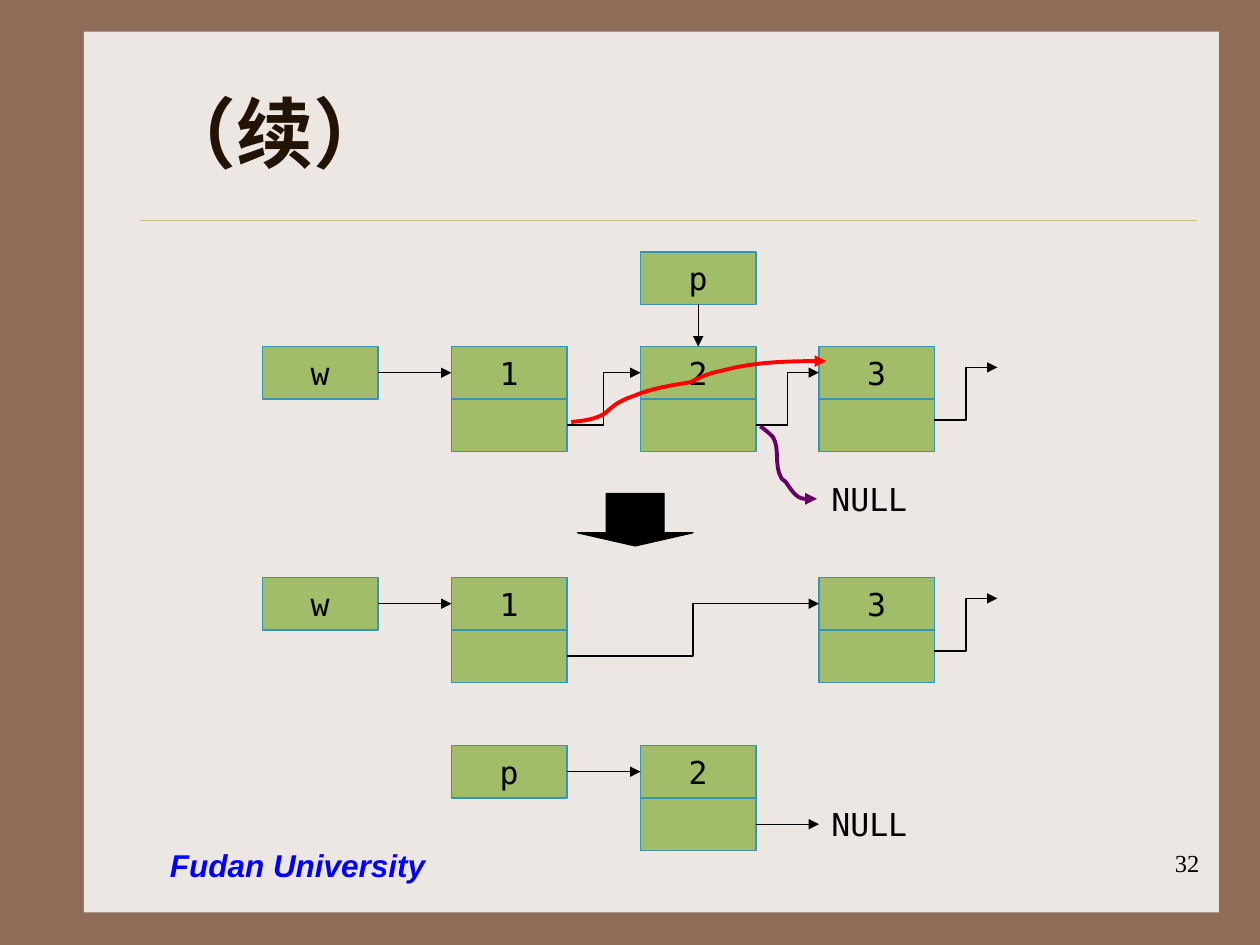
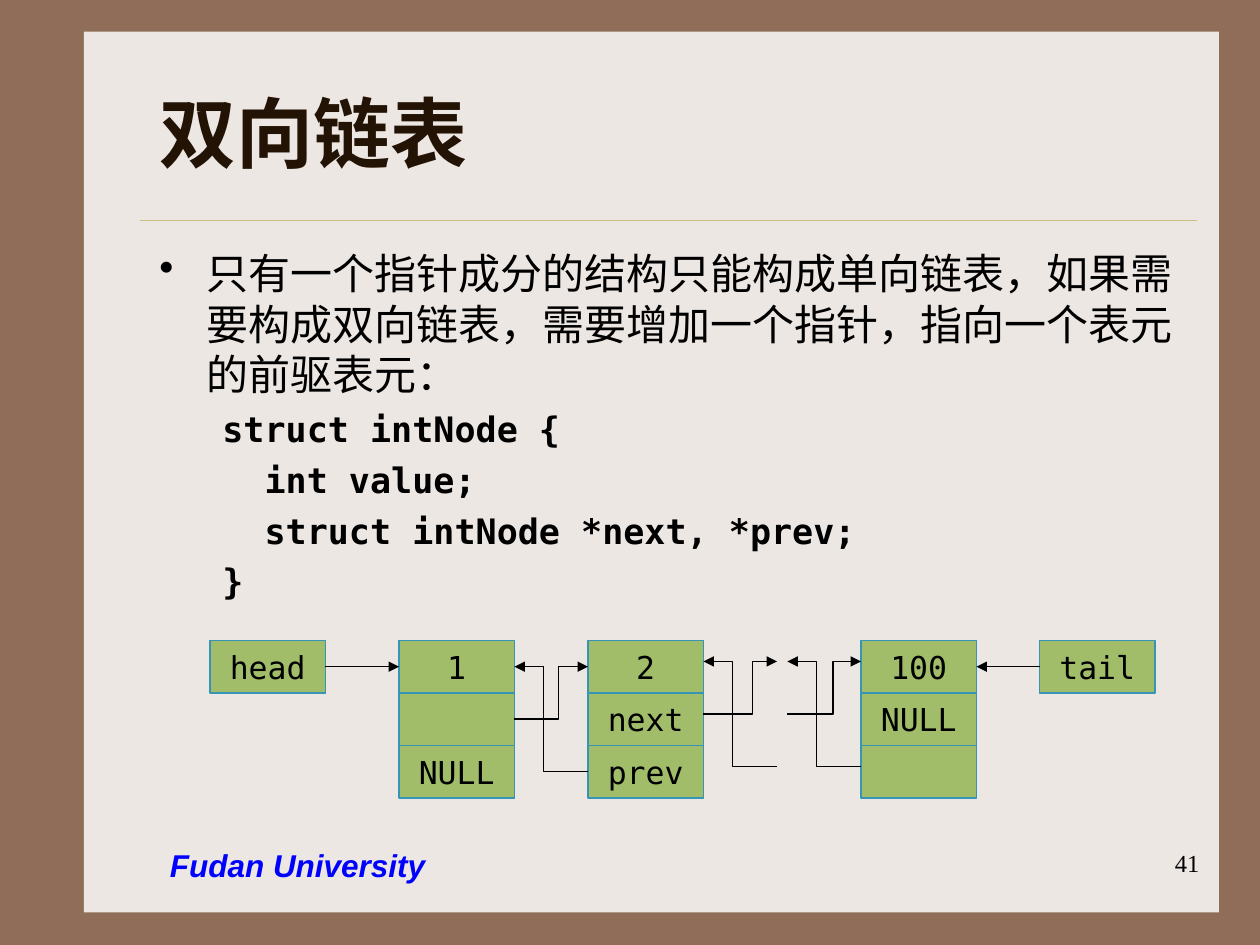
from pptx import Presentation
from pptx.dml.color import RGBColor
from pptx.enum.shapes import MSO_CONNECTOR, MSO_SHAPE
from pptx.enum.text import MSO_ANCHOR, PP_ALIGN
from pptx.oxml.ns import qn
from pptx.util import Emu, Pt
from lxml.etree import SubElement

EMU_PER_PX = 7620
CELL_WIDTH, CELL_HEIGHT = 110, 50
MONO, SANS, SERIF = "DejaVu Sans Mono", "Arial", "Times New Roman"
FRAME, PAPER, RULE = "906D58", "EDE7E3", "CBBD83"
CELL, CELL_EDGE, INK = "A1BD69", "3694B6", "000000"
TITLE, FOOTER, RELINK, UNLINK = "221304", "0000FF", "FF0000", "660066"

INTRO = "只有一个指针成分的结构只能构成单向链表，如果需要构成双向链表，需要增加一个指针，指向一个表元的前驱表元："
CODE = ["struct intNode {", "  int value;", "  struct intNode *next, *prev;", "}"]
RELINK_CURVE = [(4, 172), (13, 171), (24, 170), (32, 166), (40, 162), (37, 162), (43, 158),
                (48, 153), (58, 149), (64, 147), (80, 140), (100, 137), (118, 134),
                (127, 129), (137, 125), (148, 123), (181, 114), (214, 114), (247, 114)]
UNLINK_CURVE = [(4, 176), (7, 178), (12, 182), (16, 186), (23, 197), (17, 213), (24, 225),
                (25, 227), (28, 228), (29, 230), (32, 234), (38, 245), (46, 245),
                (49, 245), (54, 245), (58, 245)]


def px(length):
    return Emu(round(length * EMU_PER_PX))


def color(code):
    return RGBColor.from_string(code)


def add_text(frame, text, *, size, font=MONO, ink=INK, bold=False, italic=False,
             align=PP_ALIGN.LEFT, before=0, margin=0, hanging=0, bullet=None):
    para = frame.paragraphs[0]
    if para.runs:
        para = frame.add_paragraph()
    properties = para._p.get_or_add_pPr()
    properties.set("marL", str(px(margin)))
    properties.set("indent", str(px(-hanging)))
    if bullet:
        SubElement(properties, qn("a:buChar")).set("char", bullet)
    para.alignment = align
    if before:
        para.space_before = Pt(before)
    span = para.add_run()
    span.text = text
    span.font.name, span.font.size = font, Pt(size)
    span.font.bold, span.font.italic = bold, italic
    span.font.color.rgb = color(ink)


def add_box(page, left, top, width, height, anchor=MSO_ANCHOR.TOP):
    box = page.shapes.add_textbox(px(left), px(top), px(width), px(height))
    box.text_frame.word_wrap = True
    box.text_frame.vertical_anchor = anchor
    return box.text_frame


def add_block(page, kind, left, top, width, height, fill, edge=None):
    block = page.shapes.add_shape(kind, px(left), px(top), px(width), px(height))
    block.shadow.inherit = False
    block.fill.solid()
    block.fill.fore_color.rgb = color(fill)
    if edge:
        set_line(block, edge, 0.75)
    else:
        block.line.fill.background()
    return block


def set_line(shape, ink, width, arrow=False):
    shape.line.color.rgb = color(ink)
    shape.line.width = Pt(width)
    if arrow:
        outline = shape._element.spPr.find(qn("a:ln"))
        SubElement(outline, qn("a:tailEnd")).set("type", "triangle")


def add_line(page, start, end, *, bend=None, ink=INK, width=0.75, arrow=True):
    kind = MSO_CONNECTOR.ELBOW if bend else MSO_CONNECTOR.STRAIGHT
    line = page.shapes.add_connector(kind, *map(px, start + end))
    set_line(line, ink, width, arrow)
    properties = line._element.spPr
    SubElement(properties, qn("a:effectLst"))
    if bend:
        guides = properties.find(qn("a:prstGeom")).get_or_add_avLst()
        guide = SubElement(guides, qn("a:gd"))
        guide.set("name", "adj1")
        guide.set("fmla", f"val {round(bend * 100000)}")


def curve_points(controls, steps=8):
    for first in range(0, len(controls) - 1, 3):
        a, b, c, d = controls[first:first + 4]
        for step in range(1, steps + 1):
            t = step / steps
            u = 1 - t
            yield tuple(u**3 * p + 3 * u * u * t * q + 3 * u * t * t * r + t**3 * s
                        for p, q, r, s in zip(a, b, c, d))


def add_curve(page, left, top, controls, ink):
    points = [(px(left + x), px(top + y)) for x, y in [controls[0], *curve_points(controls)]]
    builder = page.shapes.build_freeform(*points[0])
    builder.add_line_segments(points[1:], close=False)
    curve = builder.convert_to_shape()
    curve.shadow.inherit = False
    curve.fill.background()
    set_line(curve, ink, 2.25, arrow=True)


def add_node(page, left, top, *labels):
    for row, label in enumerate(labels):
        cell = add_block(page, MSO_SHAPE.RECTANGLE, left, top + row * CELL_HEIGHT,
                         CELL_WIDTH, CELL_HEIGHT, CELL, CELL_EDGE)
        if label:
            cell.text_frame.vertical_anchor = MSO_ANCHOR.MIDDLE
            add_text(cell.text_frame, label, size=18, align=PP_ALIGN.CENTER)


def add_null(page, left, top):
    frame = add_box(page, left, top, CELL_WIDTH, CELL_HEIGHT, MSO_ANCHOR.MIDDLE)
    add_text(frame, "NULL", size=18)


def add_page(deck, title, number):
    page = deck.slides.add_slide(deck.slide_layouts[6])
    page.background.fill.solid()
    page.background.fill.fore_color.rgb = color(FRAME)
    add_block(page, MSO_SHAPE.RECTANGLE, 80, 30, 1081, 839, PAPER)
    add_line(page, (133, 210), (1140, 210), ink=RULE, width=0.25, arrow=False)
    add_text(add_box(page, 904, 802, 250, 60), number, size=14, font=SERIF,
             align=PP_ALIGN.RIGHT)
    add_text(add_box(page, 140, 50, 1000, 150, MSO_ANCHOR.MIDDLE), title,
             size=44, ink=TITLE, bold=True)
    add_text(add_box(page, 150, 800, 340, 48), "Fudan University", size=18, font=SANS,
             ink=FOOTER, bold=True, italic=True)
    return page


def draw_list_ends(page, left, top):
    add_node(page, left, top, "w")
    add_node(page, left + 180, top, "1", "")
    add_node(page, left + 530, top, "3", "")
    add_line(page, (left + 110, top + 25), (left + 180, top + 25))
    add_line(page, (left + 640, top + 70), (left + 700, top + 20), bend=0.5)


def draw_list_before(page, left, top):
    list_top = top + 90
    draw_list_ends(page, left, list_top)
    add_node(page, left + 360, top, "p")
    add_node(page, left + 360, list_top, "2", "")
    add_line(page, (left + 415, top + 50), (left + 415, list_top))
    for start, end in [(290, 360), (470, 530)]:
        add_line(page, (left + start, list_top + 75), (left + end, list_top + 25), bend=0.5)
    add_curve(page, left + 290, top - 10, RELINK_CURVE, RELINK)
    add_curve(page, left + 470, top - 10, UNLINK_CURVE, UNLINK)
    add_null(page, left + 530, top + 210)


def draw_list_after(page, left, top):
    draw_list_ends(page, left, top)
    add_line(page, (left + 290, top + 75), (left + 530, top + 25), bend=0.5)


def draw_removed_node(page, left, top):
    add_node(page, left, top, "p")
    add_node(page, left + 180, top, "2", "")
    add_line(page, (left + 110, top + 25), (left + 180, top + 25))
    add_line(page, (left + 290, top + 75), (left + 350, top + 75))
    add_null(page, left + 350, top + 50)


def draw_double_list(page, left, top):
    add_node(page, left, top, "head")
    add_node(page, left + 180, top, "1", "", "NULL")
    add_node(page, left + 360, top, "2", "next", "prev")
    add_node(page, left + 620, top, "100", "NULL", "")
    add_node(page, left + 790, top, "tail")
    add_line(page, (left + 110, top + 25), (left + 180, top + 25))
    add_line(page, (left + 790, top + 25), (left + 730, top + 25))
    for gap, height, bend in [(290, 25, 0.6), (470, 20, 0.67), (550, 20, 0.62)]:
        near, far, level = left + gap, left + gap + 70, top + height
        add_line(page, (near, level + 50), (far, level), bend=bend)
        add_line(page, (far, level + 100), (near, level), bend=0.6)


def write_explanation(page, left, top, width, height):
    frame = add_box(page, left, top, width, height)
    add_text(frame, INTRO, size=24, margin=45, hanging=45, bullet="•")
    for code_line in CODE:
        add_text(frame, code_line, size=20, bold=True, before=5, margin=60)


def add_removal_page(deck):
    page = add_page(deck, "（续）", "32")
    draw_list_before(page, 250, 240)
    add_block(page, MSO_SHAPE.DOWN_ARROW, 550, 470, CELL_WIDTH, CELL_HEIGHT,
              INK, INK).adjustments[1] = 0.25
    draw_list_after(page, 250, 550)
    draw_removed_node(page, 430, 710)


def add_double_list_page(deck):
    page = add_page(deck, "双向链表", "41")
    write_explanation(page, 140, 230, 1000, 540)
    draw_double_list(page, 200, 610)


def main():
    deck = Presentation()
    deck.slide_width, deck.slide_height = px(1200), px(900)
    add_removal_page(deck)
    add_double_list_page(deck)
    deck.save("out.pptx")


if __name__ == "__main__":
    main()
